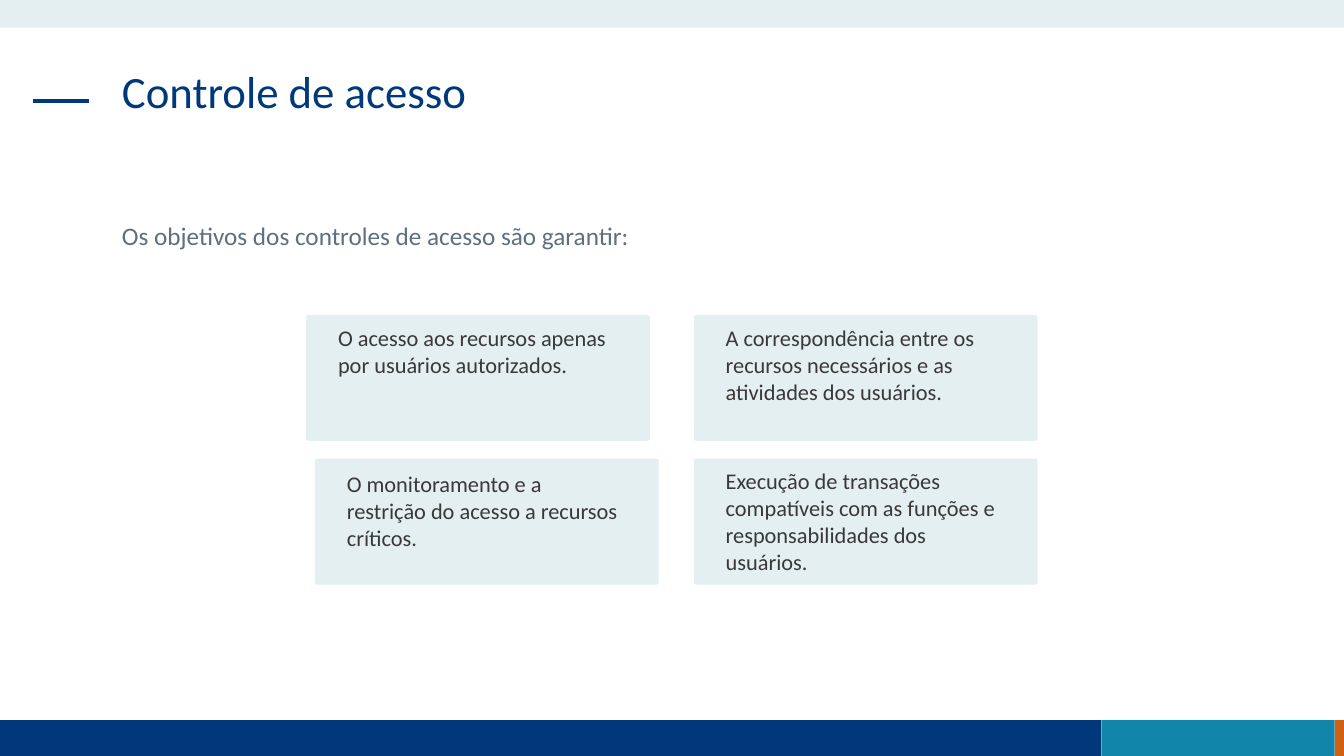
from dataclasses import dataclass

import pptx
import pptx.dml.color
import pptx.enum.shapes
import pptx.oxml
import pptx.util
from pptx.util import Pt


@dataclass(frozen=True)
class Theme:
    font: str = "Calibri"
    navy: str = "00397B"
    teal: str = "1185AA"
    orange: str = "D06110"
    pale: str = "E3EFF1"
    slate: str = "5C7080"
    dark: str = "3B3838"
    title_size: int = 32
    lead_size: int = 18
    card_size: int = 16


THEME = Theme()
SHAPES = pptx.enum.shapes.MSO_SHAPE
SLIDE_WIDTH, SLIDE_HEIGHT = 960, 540
FOOTER_TOP = 514.5
CARD_WIDTH, CARD_HEIGHT = 245.5, 90
LABEL_WIDTH, LABEL_INDENT = 213, 15.7

# Left, top, label drop, text
CARDS = [
    (218.7, 224.9, 3, "O acesso aos recursos apenas por usuários autorizados."),
    (495.6, 224.9, 3, "A correspondência entre os recursos necessários e as "
                      "atividades dos usuários."),
    (225, 327.6, 5, "O monitoramento e a restrição do acesso a recursos críticos."),
    (495.6, 327.6, 2.7, "Execução de transações compatíveis com as funções e "
                        "responsabilidades dos usuários."),
]


def color(value):
    return pptx.dml.color.RGBColor.from_string(value)


def add_block(page, kind, left, top, width, height, fill):
    block = page.shapes.add_shape(kind, Pt(left), Pt(top), Pt(width), Pt(height))
    block.shadow.inherit = False
    block.fill.solid()
    block.fill.fore_color.rgb = color(fill)
    block.line.fill.background()
    return block


def add_text(page, left, top, width, height, text, size, ink):
    box = page.shapes.add_textbox(Pt(left), Pt(top), Pt(width), Pt(height))
    box.text_frame.word_wrap = True
    para = box.text_frame.paragraphs[0]
    span = para.add_run()
    span.text = text
    span.font.name = THEME.font
    span.font.size = Pt(size)
    span.font.color.rgb = color(ink)
    return para


def add_bands(page):
    """Draw the top band and the three-colour footer."""
    add_block(page, SHAPES.RECTANGLE, 0, 0, SLIDE_WIDTH, 19.8, THEME.pale)
    edges = [0, 786.8, 953.4, SLIDE_WIDTH]
    fills = [THEME.navy, THEME.teal, THEME.orange]
    for left, right, fill in zip(edges, edges[1:], fills):
        add_block(page, SHAPES.RECTANGLE, left, FOOTER_TOP, right - left,
                  SLIDE_HEIGHT - FOOTER_TOP, fill)


def add_title(page, text):
    dash = page.shapes.add_connector(
        pptx.enum.shapes.MSO_CONNECTOR.STRAIGHT, Pt(23.6), Pt(72), Pt(63.6), Pt(72))
    dash.line.color.rgb = color(THEME.navy)
    dash.line.width = Pt(3)
    properties = dash._element.spPr
    properties.append(pptx.oxml.parse_xml(
        '<a:effectLst xmlns:a="http://schemas.openxmlformats.org/drawingml/2006/main"/>'))
    para = add_text(page, 80, 46, 799, 68, text, THEME.title_size, THEME.navy)
    para.line_spacing = 0.9


def add_card(page, left, top, drop, text):
    card = add_block(page, SHAPES.ROUNDED_RECTANGLE, left, top,
                     CARD_WIDTH, CARD_HEIGHT, THEME.pale)
    card.adjustments[0] = 0.02
    add_text(page, left + LABEL_INDENT, top + drop, LABEL_WIDTH,
             CARD_HEIGHT - drop, text, THEME.card_size, THEME.dark)


def main():
    deck = pptx.Presentation()
    deck.slide_width, deck.slide_height = Pt(SLIDE_WIDTH), Pt(SLIDE_HEIGHT)
    page = deck.slides.add_slide(deck.slide_layouts[6])
    add_bands(page)
    add_title(page, "Controle de acesso")
    add_text(page, 80, 153.5, 480, 29,
             "Os objetivos dos controles de acesso são garantir:",
             THEME.lead_size, THEME.slate)
    for card in CARDS:
        add_card(page, *card)
    deck.save("out.pptx")


if __name__ == "__main__":
    main()
